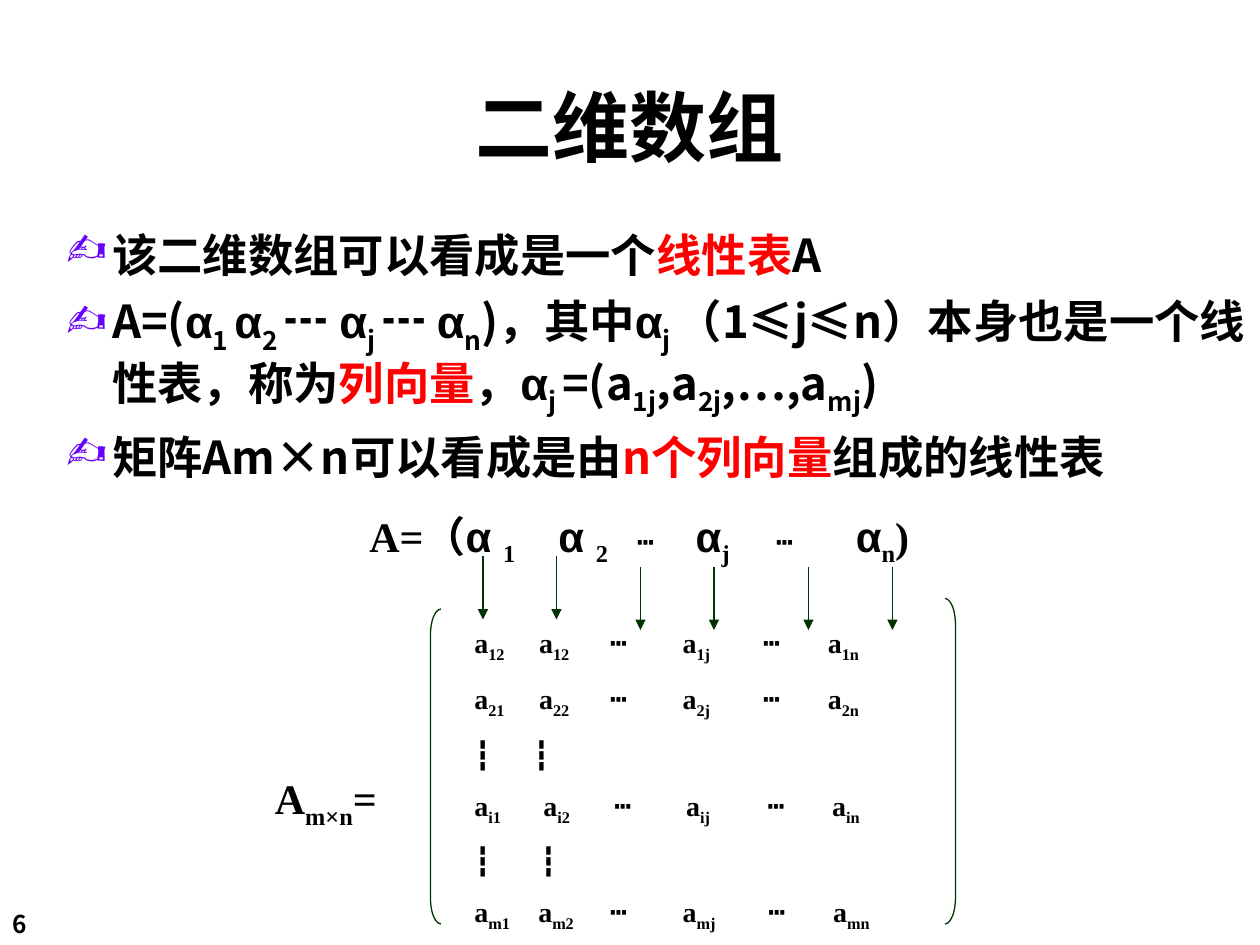
from dataclasses import dataclass

from lxml.etree import SubElement
from pptx import Presentation
from pptx.dml.color import RGBColor
from pptx.enum.shapes import MSO_CONNECTOR, MSO_SHAPE
from pptx.enum.text import MSO_ANCHOR, PP_ALIGN
from pptx.oxml.ns import qn
from pptx.slide import Slide
from pptx.text.text import TextFrame, _Paragraph
from pptx.util import Pt

HUES = {"text": "000000", "key": "FF0000", "bullet": "6600FF", "line": "003300"}
SANS, GREEK, SERIF = "Noto Sans CJK SC", "Arial", "Times New Roman"


@dataclass(frozen=True)
class Run:
    text: str
    sub: bool = False
    hue: str = "text"
    face: str = ""
    size: float = 0


@dataclass(frozen=True)
class Box:
    left: float
    top: float
    width: float
    height: float


@dataclass(frozen=True)
class Arrow:
    x: float
    top: float


def low(text: str) -> Run:
    return Run(text, sub=True)


def key(text: str) -> Run:
    return Run(text, hue="key")


def alpha(index: str, gap: str = "") -> list[Run]:
    return [Run("α" + gap, face=GREEK), low(index)]


def add_box(slide: Slide, box: Box) -> TextFrame:
    shape = slide.shapes.add_textbox(
        Pt(box.left), Pt(box.top), Pt(box.width), Pt(box.height))
    shape.text_frame.word_wrap = True
    return shape.text_frame


def add_runs(para: _Paragraph, runs: list[Run], face: str, size: float) -> None:
    for item in runs:
        run = para.add_run()
        run.text = item.text
        font = run.font
        font.name = item.face or face
        font.size = Pt(item.size or size)
        font.bold = True
        font.color.rgb = RGBColor.from_string(HUES[item.hue])
        props = font._element
        SubElement(props, qn("a:ea"), typeface=SANS)
        if item.sub:
            props.set("baseline", "-25000")


def add_lines(frame: TextFrame, lines: list[list[Run]], face: str, size: float,
              gap: float = 0) -> None:
    for i, runs in enumerate(lines):
        para = frame.add_paragraph() if i else frame.paragraphs[0]
        para.space_before = Pt(gap)
        add_runs(para, runs, face, size)


def set_bullet(para: _Paragraph, indent: float) -> None:
    props = para._p.get_or_add_pPr()
    props.set("marL", str(Pt(indent)))
    props.set("indent", str(-Pt(indent)))
    tint = SubElement(props, qn("a:buClr"))
    SubElement(tint, qn("a:srgbClr"), val=HUES["bullet"])
    SubElement(props, qn("a:buFont"), typeface="Wingdings", charset="2")
    SubElement(props, qn("a:buChar"), char="✿")


def set_tabs(para: _Paragraph, stops: list[float]) -> None:
    tabs = SubElement(para._p.get_or_add_pPr(), qn("a:tabLst"))
    for stop in stops:
        SubElement(tabs, qn("a:tab"), pos=str(Pt(stop)), algn="l")


def add_brace(slide: Slide, kind: MSO_SHAPE, box: Box) -> None:
    shape = slide.shapes.add_shape(
        kind, Pt(box.left), Pt(box.top), Pt(box.width), Pt(box.height))
    shape.adjustments[0] = 2.5
    shape.shadow.inherit = False
    shape.fill.background()
    shape.line.color.rgb = RGBColor.from_string(HUES["line"])
    shape.line.width = Pt(0.75)


def add_arrow(slide: Slide, arrow: Arrow) -> None:
    link = slide.shapes.add_connector(
        MSO_CONNECTOR.STRAIGHT, Pt(arrow.x), Pt(arrow.top),
        Pt(arrow.x), Pt(arrow.top + 36))
    link.line.color.rgb = RGBColor.from_string(HUES["line"])
    link.line.width = Pt(0.75)
    SubElement(link.line._get_or_add_ln(), qn("a:tailEnd"), type="triangle")
    SubElement(link._element.spPr, qn("a:effectLst"))


def make_row(row: str) -> list[Run]:
    first = "12" if row == "1" else row + "1"
    return [Run("a"), low(first), Run("\ta"), low(row + "2"),
            Run("\t┅\ta"), low(row + "j"), Run("\t┅\ta"), low(row + "n")]


def main() -> None:
    deck = Presentation()
    deck.slide_width, deck.slide_height = Pt(720), Pt(540)
    slide = deck.slides.add_slide(deck.slide_layouts[6])

    # Page number and title
    add_lines(add_box(slide, Box(0, 516, 60, 24)), [[Run("6")]], SANS, 14)
    title = add_box(slide, Box(30, 36, 660, 72))
    title.vertical_anchor = MSO_ANCHOR.MIDDLE
    add_lines(title, [[Run("二维数组")]], SANS, 44)
    title.paragraphs[0].alignment = PP_ALIGN.CENTER

    # Bullet points
    points = [
        [Run("该二维数组可以看成是一个"), key("线性表"), Run("A")],
        [Run("A=("), *alpha("1 "), *alpha("2 "), Run("┅ "), *alpha("j "),
         Run("┅ "), *alpha("n"), Run(")，其中"), *alpha("j "),
         Run("（1≤j≤n）本身也是一个线性表，称为"), key("列向量"), Run("，"),
         *alpha("j "), Run("=(a"), low("1j"), Run(",a"), low("2j"),
         Run(",…,a"), low("mj"), Run(")")],
        [Run("矩阵Am×n可以看成是由"), key("n个列向量"), Run("组成的线性表")],
    ]
    body = add_box(slide, Box(30, 126, 690, 162))
    add_lines(body, points, SANS, 25.9, 7)
    for para in body.paragraphs:
        set_bullet(para, 27)

    # Matrix with its name and brackets
    name = add_box(slide, Box(150, 438, 90, 40))
    add_lines(name, [[Run("A"), low("m×n"), Run("=")]], SERIF, 24)
    grid = add_box(slide, Box(264, 354, 276, 183))
    dots = [Run("┇\t┇")]
    rows = [make_row("1"), make_row("2"), dots, make_row("i"), dots, make_row("m")]
    add_lines(grid, rows, SERIF, 16, 10)
    top = [37, 77.5, 119, 165, 202]
    stops = [top, top, [33.5], [39.5, 80, 121, 167.5, 204.5], [37.5],
             [36.5, 77.5, 119, 168, 205]]
    for para, row in zip(grid.paragraphs, stops):
        set_tabs(para, row)
    add_brace(slide, MSO_SHAPE.LEFT_BRACKET, Box(246, 348, 6, 180))
    add_brace(slide, MSO_SHAPE.RIGHT_BRACKET, Box(540, 342, 6, 186))

    # Row of column vectors
    head = add_box(slide, Box(204, 288, 390, 40))
    tab, dash = Run("\t"), Run("┅", size=16)
    add_lines(head, [[Run("A=（"), *alpha("1", " "), tab, *alpha("2", " "),
                      tab, dash, tab, *alpha("j"), tab, dash, tab,
                      *alpha("n"), Run(")")]], SERIF, 24)
    set_tabs(head.paragraphs[0], [108, 153, 186.5, 232.5, 278])

    # Arrows from vectors to columns
    for x in (276, 318, 366, 408, 462, 510):
        add_arrow(slide, Arrow(x, 318 if x < 360 else 324))

    deck.save("out.pptx")


if __name__ == "__main__":
    main()
